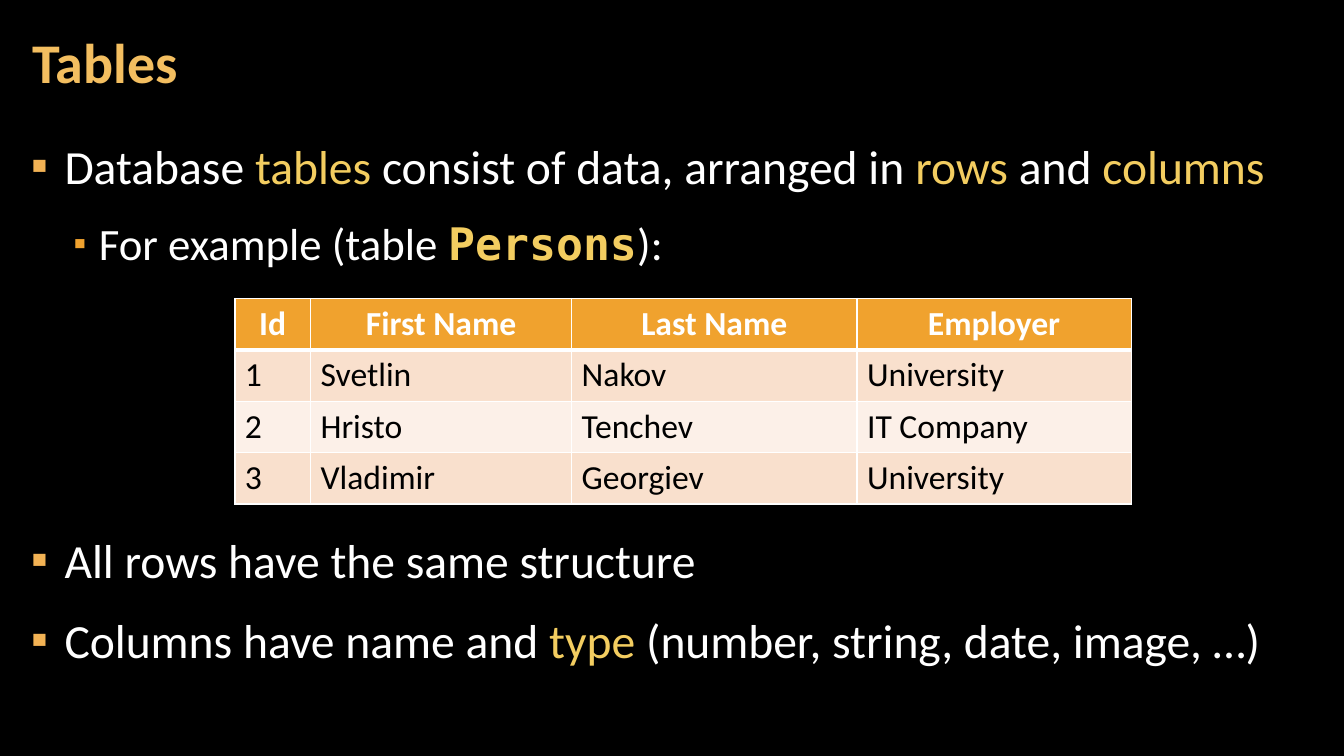
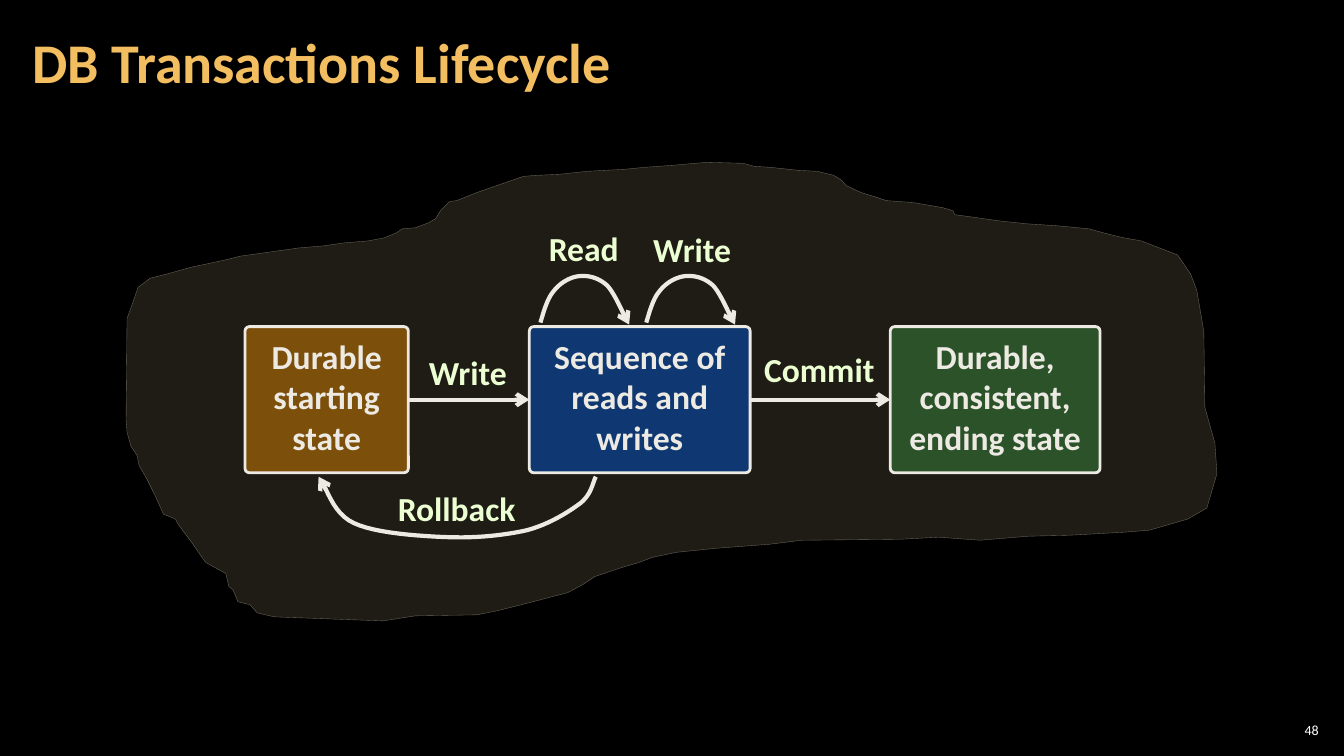
from lxml import etree
from pptx import Presentation
from pptx.dml.color import RGBColor
from pptx.enum.shapes import MSO_CONNECTOR, MSO_SHAPE
from pptx.enum.text import MSO_ANCHOR, PP_ALIGN
from pptx.oxml.ns import qn
from pptx.util import Inches, Pt

STRAIGHT = MSO_CONNECTOR.STRAIGHT
ROUNDED = MSO_SHAPE.ROUNDED_RECTANGLE
LEFT, CENTER, RIGHT = PP_ALIGN.LEFT, PP_ALIGN.CENTER, PP_ALIGN.RIGHT
TOP, MIDDLE = MSO_ANCHOR.TOP, MSO_ANCHOR.MIDDLE
FONT, MONO = "Calibri", "DejaVu Sans Mono"
COLORS = {
    "back": "000000", "text": "FFFFFF", "title": "F3BE60", "accent": "F3CD60",
    "bullet": "F2B254", "header": "F0A22E", "odd": "F9E0CD", "even": "FCF0E8",
    "cell": "000000", "cloud": "7C7154", "cloud_edge": "C7BFAC",
    "line": "ECEAE3", "label": "EBFFD2",
    "start": "DA8200", "sequence": "0055D2", "end": "38883C",
}
PERSONS = [
    ["Id", "First Name", "Last Name", "Employer"],
    ["1", "Svetlin", "Nakov", "University"],
    ["2", "Hristo", "Tenchev", "IT Company"],
    ["3", "Vladimir", "Georgiev", "University"],
]
CLOUD = [
    (3.46, 1), (3.53, .99), (3.73, .91), (4.19, .75), (4.31, .74), (4.54, .73),
    (4.82, .7), (5.19, .68), (5.39, .66), (5.67, .64), (6.01, .61), (6.37, .62),
    (6.48, .65), (6.64, .66), (6.92, .69), (7.11, .7), (7.27, .74), (7.35, .79),
    (7.39, .84), (7.54, .91), (7.67, .95), (7.79, .99), (8.06, 1.01),
    (8.35, 1.06), (8.45, 1.09), (8.47, 1.13), (8.62, 1.15), (8.9, 1.19),
    (9.18, 1.22), (9.49, 1.24), (9.8, 1.27), (9.98, 1.32), (10.15, 1.36),
    (10.32, 1.39), (10.68, 1.53), (10.81, 1.72), (10.87, 1.88), (10.91, 2.11),
    (10.94, 2.29), (10.95, 3.04), (10.97, 3.11), (11.05, 3.4), (11.07, 3.7),
    (10.97, 4.04), (10.78, 4.15), (10.4, 4.26), (10.16, 4.28), (9.61, 4.31),
    (9.2, 4.32), (8.72, 4.36), (8.31, 4.33), (7.93, 4.35), (6.95, 4.36),
    (6.63, 4.4), (6.1, 4.44), (5.71, 4.48), (5.47, 4.53), (5.34, 4.58),
    (5.17, 4.63), (5.02, 4.68), (4.9, 4.72), (4.78, 4.8), (4.63, 4.88),
    (4.44, 4.93), (4.17, 5), (3.93, 5.06), (3.73, 5.1), (3.12, 5.11),
    (2.8, 5.16), (1.72, 5.12), (1.55, 5.08), (1.48, 5), (1.36, 4.97),
    (1.31, 4.85), (1.27, 4.82), (1.24, 4.69), (1.04, 4.58), (.99, 4.51),
    (.9, 4.38), (.81, 4.26), (.76, 4.19), (.74, 4.15), (.62, 4.1), (.54, 3.92),
    (.45, 3.74), (.38, 3.62), (.36, 3.52), (.3, 3.43), (.26, 3.29),
    (.25, 3.17), (.26, 2.16), (.3, 2.05), (.37, 1.85), (.49, 1.76),
    (.65, 1.72), (.9, 1.65), (1.09, 1.61), (1.23, 1.58), (1.39, 1.54),
    (1.68, 1.5), (1.96, 1.46), (2.2, 1.44), (2.41, 1.41), (2.65, 1.39),
    (2.81, 1.36), (2.93, 1.31), (2.99, 1.27), (3.12, 1.26), (3.25, 1.21),
    (3.32, 1.17), (3.37, 1.09), (3.42, 1.04),
]
LOOP = [
    (0, .47), (.02, .41), (.06, .24), (.13, .16), (.19, .08), (.29, .02),
    (.38, .01), (.47, 0), (.57, .02), (.66, .1), (.74, .18), (.83, .41),
    (.88, .49),
]
ROLLBACK = [
    (2.75, 0), (2.72, .05), (2.71, .17), (2.6, .26), (2.48, .35), (2.29, .47),
    (2.07, .53), (1.85, .58), (1.57, .61), (1.29, .6), (1, .59), (.56, .56),
    (.35, .46), (.13, .36), (.08, .09), (0, 0),
]


def rgb(key):
    return RGBColor.from_string(COLORS[key])


def add_xml(parent, tag, **attrs):
    return etree.SubElement(parent, qn(tag), attrs)


def set_font(p, size, color, bold=False):
    p.font.name, p.font.size, p.font.bold = FONT, Pt(size), bold
    p.font.color.rgb = rgb(color)


def set_frame(tf, insets, anchor=TOP, wrap=True):
    tf.margin_left, tf.margin_top, tf.margin_right, tf.margin_bottom = map(Inches, insets)
    tf.vertical_anchor, tf.word_wrap = anchor, wrap


def set_alpha(fill_owner, percent):
    color = fill_owner.find(qn("a:solidFill"))[0]
    add_xml(color, "a:alpha", val=str(percent * 1000))


def set_line(shape, color, width, arrow=False):
    shape.line.color.rgb = rgb(color)
    shape.line.width = Pt(width)
    if arrow:
        add_xml(shape.element.spPr.find(qn("a:ln")), "a:tailEnd", type="arrow")


def add_text(s, box, text, size, color, align, bold=False,
             insets=(.1, .05, .1, .05), anchor=TOP, wrap=False):
    tf = s.shapes.add_textbox(*map(Inches, box)).text_frame
    set_frame(tf, insets, anchor, wrap)
    p = tf.paragraphs[0]
    p.text, p.alignment = text, align
    set_font(p, size, color, bold)


def add_titled_slide(prs, title):
    s = prs.slides.add_slide(prs.slide_layouts[5])
    sp = s.shapes.title
    sp.left, sp.top, sp.width, sp.height = map(Inches, (.2, .04, 10.47, 1.21))
    set_frame(sp.text_frame, (.12, .04, .12, .04), MIDDLE)
    p = sp.text_frame.paragraphs[0]
    p.text, p.alignment, p.line_spacing = title, LEFT, .9
    set_font(p, 40, "title", True)
    return s


def set_bullet(p, level):
    margin, hang, color, percent = [(.33, .33, "bullet", 100), (.67, .25, "header", 80)][level]
    p.level = level
    pPr = p._p.get_or_add_pPr()
    pPr.set("marL", str(Inches(margin)))
    pPr.set("indent", str(-Inches(hang)))
    add_xml(add_xml(pPr, "a:buClr"), "a:srgbClr", val=COLORS[color])
    add_xml(pPr, "a:buSzPct", val=str(percent * 1000))
    add_xml(pPr, "a:buFont", typeface=FONT)
    add_xml(pPr, "a:buChar", char="▪")


def add_bullets(s, box, items):
    tf = s.shapes.add_textbox(*map(Inches, box)).text_frame
    set_frame(tf, (.12, .04, .12, .04))
    for i, (level, parts) in enumerate(items):
        p = tf.paragraphs[0] if i == 0 else tf.add_paragraph()
        set_bullet(p, level)
        p.line_spacing, p.space_after = 1.1, Pt(6)
        p.space_before = Pt(6 if i else 0)
        set_font(p, 34 - 2 * level, "text")
        for text, style in parts:
            r = p.add_run()
            r.text = text
            if style:
                r.font.color.rgb = rgb("accent")
            if style == "code":
                r.font.name, r.font.bold = MONO, True


def set_borders(cell, widths):
    tcPr = cell._tc.get_or_add_tcPr()
    for side, width in zip("LRTB", widths):
        ln = add_xml(tcPr, f"a:ln{side}", w=str(Pt(width)))
        add_xml(add_xml(ln, "a:solidFill"), "a:srgbClr", val=COLORS["text"])


def add_grid(s, left, top, widths, row_height, rows):
    box = (left, top, sum(widths), row_height * len(rows))
    table = s.shapes.add_table(len(rows), len(widths), *map(Inches, box)).table
    table.horz_banding = False
    for column, width in zip(table.columns, widths):
        column.width = Inches(width)
    for i, row in enumerate(rows):
        for j, text in enumerate(row):
            cell = table.cell(i, j)
            set_borders(cell, (1, 1, 3 if i == 1 else 1, 3 if i == 0 else 1))
            cell.fill.solid()
            cell.fill.fore_color.rgb = rgb("header" if i == 0 else "odd" if i % 2 else "even")
            p = cell.text_frame.paragraphs[0]
            p.text, p.alignment = text, LEFT if i else CENTER
            set_font(p, 24, "cell" if i else "text", i == 0)


def curve_points(nodes, steps=12):
    points = [nodes[0]]
    for k in range(0, len(nodes) - 1, 3):
        for step in range(1, steps + 1):
            t = step / steps
            weights = ((1 - t) ** 3, 3 * t * (1 - t) ** 2, 3 * t * t * (1 - t), t ** 3)
            points.append(tuple(sum(w * n[axis] for w, n in zip(weights, nodes[k:k + 4]))
                                for axis in (0, 1)))
    return points


def add_outline(s, x, y, points, close):
    spots = [(Inches(x + px), Inches(y + py)) for px, py in points]
    builder = s.shapes.build_freeform(*spots[0])
    builder.add_line_segments(spots[1:], close=close)
    sp = builder.convert_to_shape()
    sp.shadow.inherit = False
    return sp


def add_curve(s, x, y, nodes):
    sp = add_outline(s, x, y, curve_points(nodes), False)
    sp.fill.background()
    set_line(sp, "line", 3, True)


def add_state(s, box, lines, color):
    sp = s.shapes.add_shape(ROUNDED, *map(Inches, box))
    sp.adjustments[0] = .03
    sp.shadow.inherit = False
    sp.fill.solid()
    sp.fill.fore_color.rgb = rgb(color)
    set_alpha(sp.element.spPr, 50)
    set_line(sp, "line", 2)
    tf = sp.text_frame
    set_frame(tf, (.1, .08, .1, .12))
    for i, text in enumerate(lines):
        p = tf.paragraphs[0] if i == 0 else tf.add_paragraph()
        p.text, p.alignment = text, CENTER
        set_font(p, 24, "line", True)
    return sp


def add_lifecycle(s, x, y):
    cloud = add_outline(s, x, y, CLOUD, True)
    cloud.fill.solid()
    cloud.fill.fore_color.rgb = rgb("cloud")
    set_alpha(cloud.element.spPr, 25)
    set_line(cloud, "cloud_edge", .25)
    set_alpha(cloud.element.spPr.find(qn("a:ln")), 50)

    states = [add_state(s, (x + left, y + 2.24, width, 1.45), lines, color)
              for left, width, lines, color in (
                  (1.43, 1.62, ["Durable starting state"], "start"),
                  (4.25, 2.19, ["Sequence of reads and writes"], "sequence"),
                  (7.83, 2.08, ["Durable,", "consistent,", "ending state"], "end"))]
    for before, after in zip(states, states[1:]):
        line = s.shapes.add_connector(STRAIGHT, 0, 0, 0, 0)
        line.begin_connect(before, 3)
        line.end_connect(after, 1)
        set_line(line, "line", 3, True)
        add_xml(line.element.spPr, "a:effectLst")

    for left in (4.36, 5.41):
        add_curve(s, x + left, y + 1.73, LOOP)
    add_curve(s, x + 2.16, y + 3.73, ROLLBACK)

    for text, left, top, width in (
            ("Read", 4.34, 1.21, .9), ("Write", 5.36, 1.22, 1.01),
            ("Write", 3.08, 2.44, 1.12), ("Commit", 6.47, 2.41, 1.31),
            ("Rollback", 2.84, 3.79, 1.38)):
        add_text(s, (x + left, y + top, width, .5), text, 24, "label", CENTER, True)


def build_tables_slide(prs):
    s = add_titled_slide(prs, "Tables")
    add_bullets(s, (.19, 1.26, 12.93, 1.5), [
        (0, [("Database ", ""), ("tables ", "accent"), ("consist of data, arranged in ", ""),
             ("rows", "accent"), (" and ", ""), ("columns", "accent")]),
        (1, [("For example (table ", ""), ("Persons", "code"), ("):", "")]),
    ])
    add_grid(s, 2.33, 2.96, (.75, 2.59, 2.83, 2.72), .51, PERSONS)
    add_bullets(s, (.19, 5.17, 12.93, 1.6), [
        (0, [("All rows have the same structure", "")]),
        (0, [("Columns have name and ", ""), ("type ", "accent"),
             ("(number, string, date, image, …)", "")]),
    ])


def build_lifecycle_slide(prs):
    s = add_titled_slide(prs, "DB Transactions Lifecycle")
    add_lifecycle(s, 1, 1)
    add_text(s, (12.65, 7.14, .47, .21), "48", 10, "text", RIGHT,
             insets=(.04,) * 4, anchor=MIDDLE, wrap=True)


def main():
    prs = Presentation()
    prs.slide_width, prs.slide_height = Inches(13.33), Inches(7.5)
    fill = prs.slide_master.background.fill
    fill.solid()
    fill.fore_color.rgb = rgb("back")
    build_tables_slide(prs)
    build_lifecycle_slide(prs)
    prs.save("out.pptx")


if __name__ == "__main__":
    main()
